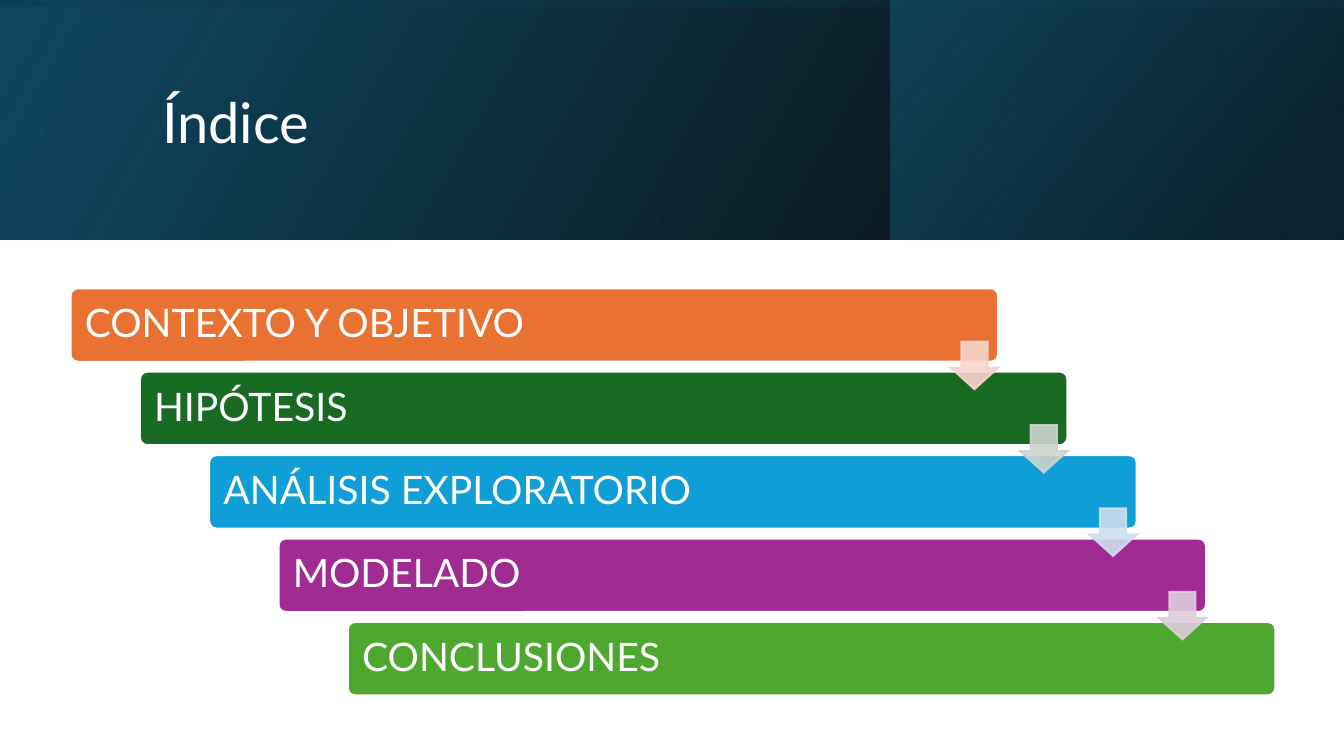
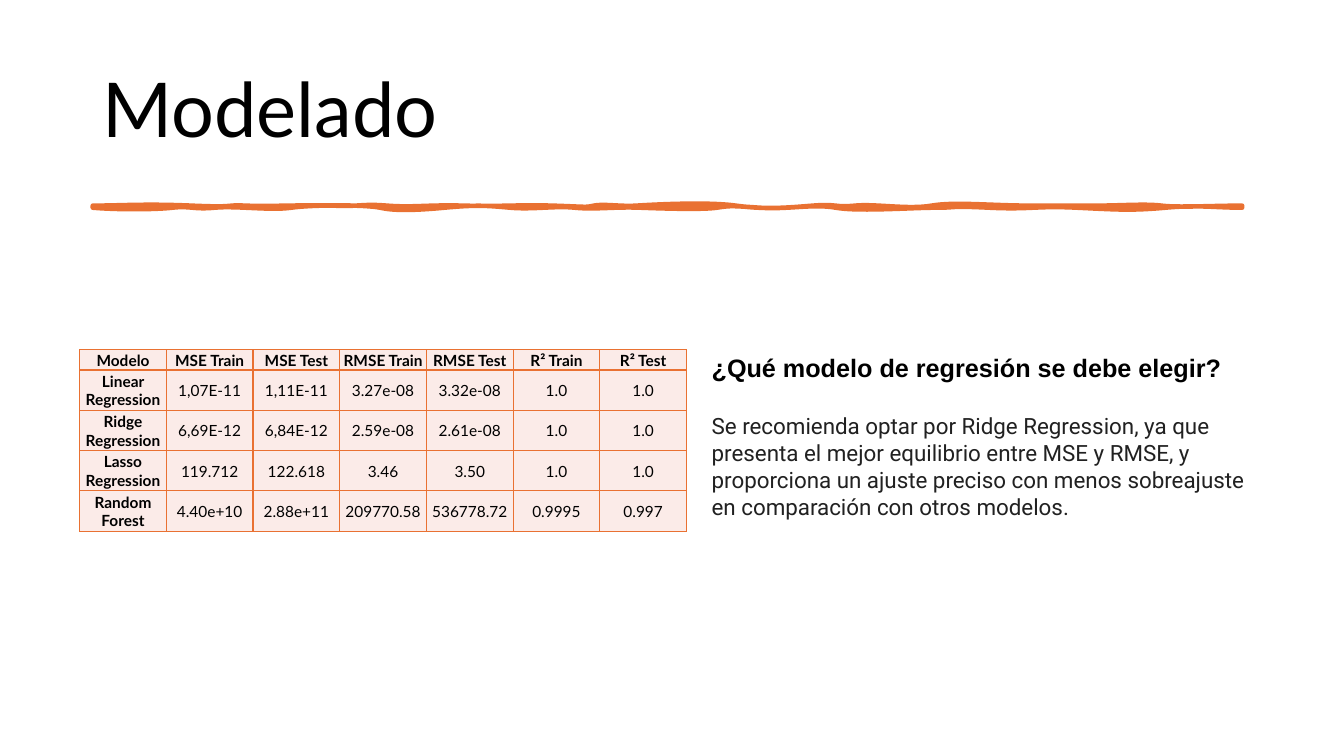
from dataclasses import dataclass

from lxml import etree
from pptx import Presentation
from pptx.dml.color import RGBColor
from pptx.enum.shapes import MSO_SHAPE
from pptx.enum.text import MSO_ANCHOR, PP_ALIGN
from pptx.oxml.ns import qn
from pptx.util import Inches, Pt

RECTANGLE = MSO_SHAPE.RECTANGLE
ROUNDED = MSO_SHAPE.ROUNDED_RECTANGLE
DOWN_ARROW = MSO_SHAPE.DOWN_ARROW
MIDDLE = MSO_ANCHOR.MIDDLE
LEFT, CENTER = PP_ALIGN.LEFT, PP_ALIGN.CENTER


@dataclass(frozen=True)
class Theme:
    width: float = 13.33
    height: float = 7.5
    font: str = "Lato"
    heading_font: str = "Arial"
    body_font: str = "Roboto"
    white: str = "FFFFFF"
    black: str = "000000"
    body: str = "212121"
    accent: str = "E97132"
    cell: str = "FBEBE8"
    navy: str = "104862"
    deep: str = "0B3041"
    teal: str = "156082"
    index_title_size: int = 40
    title_size: int = 54
    step_size: int = 28
    heading_size: int = 18
    body_size: int = 16
    table_size: int = 11


THEME = Theme()
BAND_HEIGHT = 2.38

# Label, bar colour, colour of the arrow to the next step
STEPS = [
    ("CONTEXTO Y OBJETIVO", THEME.accent, "F7D5CE"),
    ("HIPÓTESIS", "196B24", "CCD4CD"),
    ("ANÁLISIS EXPLORATORIO", "0F9ED5", "CCDFEF"),
    ("MODELADO", "A02B93", "DFCDDC"),
    ("CONCLUSIONES", "4EA72E", None),
]

RESULTS = [
    ["Modelo", "MSE Train", "MSE Test", "RMSE Train", "RMSE Test", "R² Train", "R² Test"],
    ["Linear Regression", "1,07E-11", "1,11E-11", "3.27e-08", "3.32e-08", "1.0", "1.0"],
    ["Ridge Regression", "6,69E-12", "6,84E-12", "2.59e-08", "2.61e-08", "1.0", "1.0"],
    ["Lasso Regression", "119.712", "122.618", "3.46", "3.50", "1.0", "1.0"],
    ["Random Forest", "4.40e+10", "2.88e+11", "209770.58", "536778.72", "0.9995", "0.997"],
]

# Brush stroke edges: two control points and the end x of each curve
STROKE_LEFT, STROKE_RIGHT = 0.92, 12.32
STROKE_TOP, STROKE_BOTTOM = 2.04, 2.06
TOP_CURVES = [
    (1.19, 2.04, 1.44, 2.02, 1.9), (2.37, 2.06, 2.2, 2.03, 2.44),
    (2.67, 2.05, 3.03, 2.03, 3.31), (3.6, 2.05, 3.59, 2.02, 3.84),
    (4.1, 2.06, 4.23, 2.03, 4.6), (4.98, 2.05, 5.14, 2.03, 5.48),
    (5.81, 2.05, 5.81, 2.06, 5.89), (5.98, 2.02, 6.15, 2.05, 6.31),
    (6.47, 2.03, 7.01, 2, 7.3), (7.59, 2.08, 7.81, 2.06, 8.06),
    (8.31, 2.02, 8.27, 2.06, 8.48), (8.68, 2.02, 9.01, 2.08, 9.24),
    (9.47, 2, 9.82, 2.04, 10.23), (10.63, 2.04, 10.63, 2.04, 10.87),
    (11.12, 2.04, 11.36, 2.02, 11.52), (11.68, 2.06, 12.03, 2.04, STROKE_RIGHT),
]
BOTTOM_CURVES = [
    (12.05, 2.06, 11.89, 2.03, 11.56), (11.22, 2.09, 11.1, 2.08, 10.68),
    (10.27, 2.04, 10.23, 2.08, 9.81), (9.39, 2.04, 9.52, 2.06, 9.28),
    (9.04, 2.06, 8.51, 2.1, 8.29), (8.06, 2.02, 7.82, 2.08, 7.53),
    (7.24, 2.04, 7.25, 2.04, 7.11), (6.98, 2.08, 6.61, 2.07, 6.35),
    (6.09, 2.05, 5.9, 2.08, 5.7), (5.51, 2.04, 5.28, 2.08, 5.06),
    (4.83, 2.04, 4.73, 2.03, 4.41), (4.09, 2.09, 3.9, 2.09, 3.77),
    (3.63, 2.03, 3.1, 2.03, 2.89), (2.68, 2.09, 2.35, 2.04, 2.13),
    (1.92, 2.08, 1.89, 2.04, 1.71), (1.54, 2.08, 1.14, 2.08, STROKE_LEFT),
]


def rgb(value):
    return RGBColor.from_string(value)


def set_alpha(colour, percent):
    etree.SubElement(colour, qn("a:alpha"), val=str(percent * 1000))


def write(para, text, size, color, font=THEME.font, bold=False, align=LEFT):
    para.alignment = align
    span = para.add_run()
    span.text = text
    span.font.size = Pt(size)
    span.font.name = font
    span.font.bold = bold
    span.font.color.rgb = rgb(color)


def add_text_box(page, left, top, width, height):
    box = page.shapes.add_textbox(Inches(left), Inches(top), Inches(width), Inches(height))
    box.text_frame.word_wrap = True
    return box.text_frame


def add_title(page, text, area, size, color):
    frame = add_text_box(page, *area)
    frame.vertical_anchor = MIDDLE
    para = frame.paragraphs[0]
    para.line_spacing = 0.9
    write(para, text, size, color)


def paint(shape, fill, line, line_width):
    shape.shadow.inherit = False
    shape.fill.solid()
    shape.fill.fore_color.rgb = rgb(fill)
    shape.line.color.rgb = rgb(line)
    shape.line.width = Pt(line_width)


def add_shape(page, kind, left, top, width, height):
    shape = page.shapes.add_shape(kind, Inches(left), Inches(top), Inches(width), Inches(height))
    shape.shadow.inherit = False
    return shape


def add_gradient(page, area, stops, angle, rotation=0):
    """Mirrored rectangle; stops are (position, colour, opacity), angle runs clockwise."""
    panel = add_shape(page, RECTANGLE, *area)
    panel.rotation = rotation
    panel.element.spPr.find(qn("a:xfrm")).set("flipH", "1")
    panel.line.fill.background()
    panel.fill.gradient()
    panel.fill.gradient_angle = 360 - angle
    for stop, (position, color, _) in zip(panel.fill.gradient_stops, stops):
        stop.position = position / 100
        stop.color.rgb = rgb(color)
    colours = panel.element.spPr.find(qn("a:gradFill")).iter(qn("a:srgbClr"))
    for colour, (_, _, opacity) in zip(list(colours), stops):
        set_alpha(colour, opacity)


def add_header_band(page):
    width = THEME.width
    offset = (width - BAND_HEIGHT) / 2
    add_gradient(page, (0, 0, width, BAND_HEIGHT),
                 [(0, THEME.black, 96), (100, THEME.navy, 100)], 330)
    add_gradient(page, (8.83, 0, 4.5, BAND_HEIGHT),
                 [(19, THEME.deep, 68), (100, THEME.teal, 48)], 320)
    add_gradient(page, (offset, -offset, BAND_HEIGHT, width),
                 [(23, THEME.navy, 16), (99, THEME.black, 45)], 350, 270)


def add_step(page, left, top, label, color):
    bar = add_shape(page, ROUNDED, left, top, 9.2, 0.73)
    bar.adjustments[0] = 0.1
    paint(bar, color, THEME.white, 1.5)
    frame = bar.text_frame
    frame.margin_left = Inches(0.12)
    frame.vertical_anchor = MIDDLE
    para = frame.paragraphs[0]
    para.line_spacing = 0.9
    write(para, label, THEME.step_size, THEME.white)


def add_step_arrow(page, left, top, color):
    arrow = add_shape(page, DOWN_ARROW, left, top, 0.47, 0.47)
    arrow.adjustments[0] = 0.55
    arrow.adjustments[1] = 0.45
    paint(arrow, color, color, 1.5)
    etree.SubElement(arrow.element.spPr.find(qn("a:ln")), qn("a:miter"), lim="800000")
    for colour in list(arrow.element.spPr.iter(qn("a:srgbClr"))):
        set_alpha(colour, 90)


def bend(segment, controls, origin):
    """Turn a straight path segment into a cubic curve with the given control points."""
    segment.tag = qn("a:cubicBezTo")
    for index, point in enumerate(controls):
        x, y = (Inches(value) - start for value, start in zip(point, origin))
        segment.insert(index, etree.Element(qn("a:pt"), x=str(x), y=str(y)))


def add_brush_stroke(page):
    edges = [(TOP_CURVES, STROKE_TOP), (BOTTOM_CURVES, STROKE_BOTTOM)]
    builder = page.shapes.build_freeform(Inches(STROKE_LEFT), Inches(STROKE_TOP))
    top_ends, bottom_ends = (
        [(Inches(curve[4]), Inches(y)) for curve in curves] for curves, y in edges)
    corner = (Inches(STROKE_RIGHT), Inches(STROKE_BOTTOM))
    builder.add_line_segments(top_ends + [corner] + bottom_ends)
    stroke = builder.convert_to_shape()
    paint(stroke, THEME.accent, THEME.accent, 3.25)
    segments = list(stroke.element.spPr.iter(qn("a:lnTo")))
    del segments[len(TOP_CURVES)]
    for segment, (x1, y1, x2, y2, _) in zip(segments, TOP_CURVES + BOTTOM_CURVES):
        bend(segment, [(x1, y1), (x2, y2)], (stroke.left, stroke.top))


def add_borders(cell, color, width):
    properties = cell._tc.get_or_add_tcPr()
    for index, side in enumerate(("a:lnL", "a:lnR", "a:lnT", "a:lnB")):
        line = etree.Element(qn(side), w=str(Pt(width)))
        fill = etree.SubElement(line, qn("a:solidFill"))
        etree.SubElement(fill, qn("a:srgbClr"), val=color)
        properties.insert(index, line)


def add_results_table(page, left, top, width, rows):
    heights = [0.2] + [0.4] * (len(rows) - 1)
    table = page.shapes.add_table(len(rows), len(rows[0]), Inches(left), Inches(top),
                                  Inches(width), Inches(sum(heights))).table
    table.first_row = table.horz_banding = False
    for column in table.columns:
        column.width = Inches(width / len(rows[0]))
    for r, values in enumerate(rows):
        table.rows[r].height = Inches(heights[r])
        for c, value in enumerate(values):
            cell = table.cell(r, c)
            cell.margin_left = cell.margin_right = cell.margin_top = Inches(0.01)
            cell.margin_bottom = 0
            cell.vertical_anchor = MIDDLE
            cell.fill.solid()
            cell.fill.fore_color.rgb = rgb(THEME.cell)
            add_borders(cell, THEME.accent, 1)
            write(cell.text_frame.paragraphs[0], value, THEME.table_size, THEME.black,
                  bold=r == 0 or c == 0, align=CENTER)


def add_recommendation(page):
    frame = add_text_box(page, 6.96, 3.45, 5.58, 1.78)
    write(frame.paragraphs[0], "¿Qué modelo de regresión se debe elegir?",
          THEME.heading_size, THEME.black, THEME.heading_font, bold=True)
    para = frame.add_paragraph()
    para.space_before = Pt(21)
    write(para, "Se recomienda optar por Ridge Regression, ya que presenta el mejor "
          "equilibrio entre MSE y RMSE, y proporciona un ajuste preciso con menos "
          "sobreajuste en comparación con otros modelos.",
          THEME.body_size, THEME.body, THEME.body_font)


def build_index(page):
    add_header_band(page)
    add_title(page, "Índice", (1.51, 0.38, 10.63, 1.72), THEME.index_title_size, THEME.white)
    gaps = len(STEPS) - 1
    shift_x, shift_y = (3.45 - 0.7) / gaps, (6.17 - 2.86) / gaps
    for i, (label, color, _) in enumerate(STEPS):
        add_step(page, 0.7 + i * shift_x, 2.86 + i * shift_y, label, color)
    for i, (_, _, arrow_color) in enumerate(STEPS[:-1]):
        add_step_arrow(page, 9.43 + i * shift_x, 3.39 + i * shift_y, arrow_color)


def build_modelling(page):
    add_title(page, "Modelado", (0.92, 0.4, 11.5, 1.45), THEME.title_size, THEME.black)
    add_brush_stroke(page)
    add_recommendation(page)
    add_results_table(page, 0.79, 3.47, 6.02, RESULTS)


def main():
    deck = Presentation()
    deck.slide_width = Inches(THEME.width)
    deck.slide_height = Inches(THEME.height)
    blank = deck.slide_layouts[6]
    for build in (build_index, build_modelling):
        build(deck.slides.add_slide(blank))
    deck.save("out.pptx")


if __name__ == "__main__":
    main()
